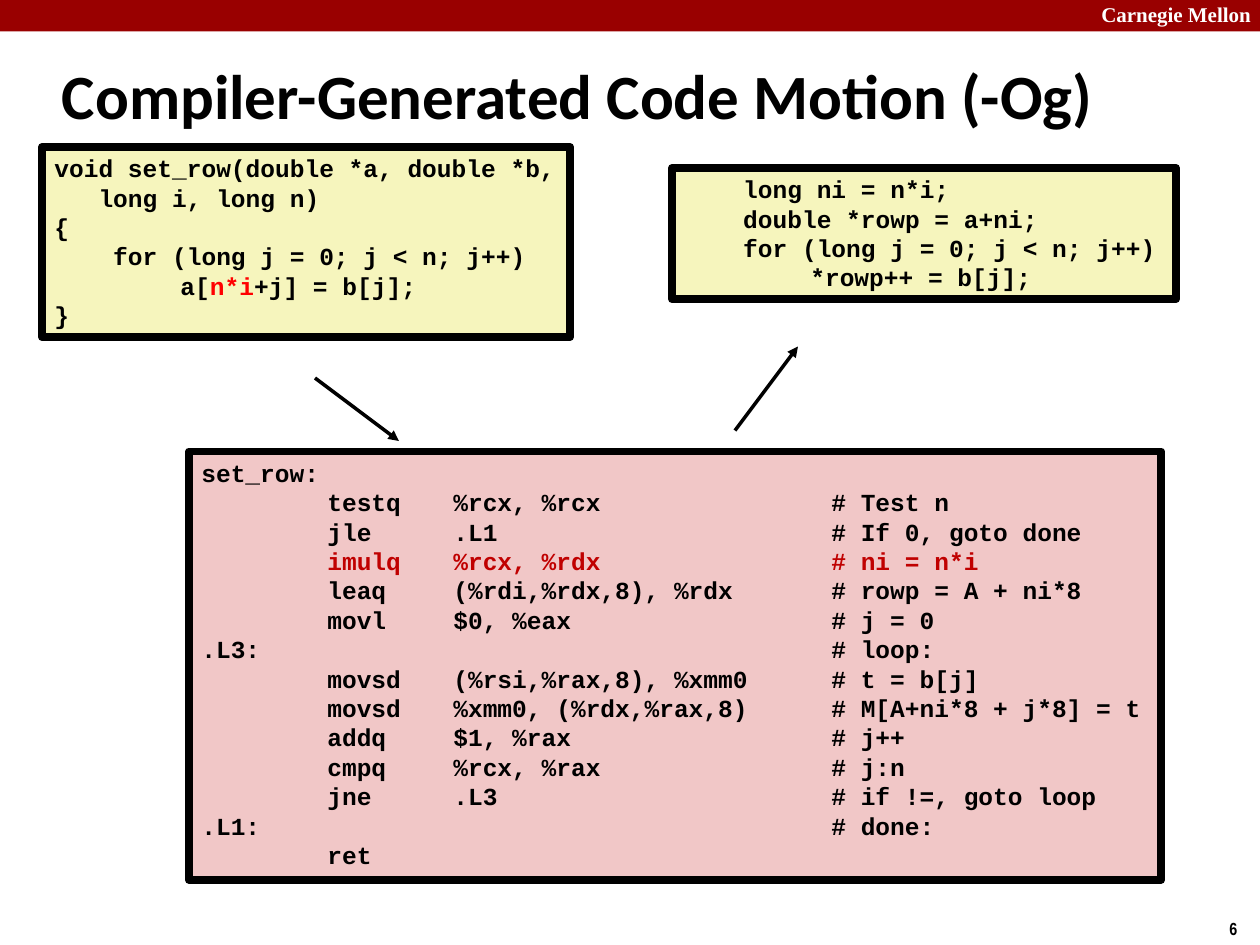
"""Build a slide on compiler-generated code motion."""

from dataclasses import dataclass
from typing import NamedTuple

from lxml.etree import SubElement
from pptx import Presentation
from pptx.dml.color import RGBColor
from pptx.enum.shapes import MSO_CONNECTOR, MSO_SHAPE
from pptx.enum.text import MSO_ANCHOR, MSO_AUTO_SIZE, PP_ALIGN
from pptx.oxml.ns import qn
from pptx.util import Emu, Inches, Pt

BLACK = RGBColor(0x00, 0x00, 0x00)
WHITE = RGBColor(0xFF, 0xFF, 0xFF)
BANNER = RGBColor(0x99, 0x00, 0x00)
YELLOW = RGBColor(0xF6, 0xF5, 0xBD)
PINK = RGBColor(0xF1, 0xC7, 0xC7)
RED = RGBColor(0xFF, 0x00, 0x00)
DARK_RED = RGBColor(0xC0, 0x00, 0x00)

WIDTH, HEIGHT = Inches(10), Inches(7.5)
COLS, ROWS = 120, 90


class Run(NamedTuple):
    text: str
    color: RGBColor = BLACK


class Op(NamedTuple):
    label: str = ""
    name: str = ""
    args: str = ""
    note: str = ""
    color: RGBColor = BLACK


class Arrow(NamedTuple):
    x1: float
    y1: float
    x2: float
    y2: float


@dataclass
class CodeBox:
    area: tuple[float, float, float, float]
    fill: RGBColor
    lines: list[list[Run]]
    tabs: tuple[float, ...] = (1,)
    wrap: bool = False


ASM = [
    Op("set_row:"),
    Op("", "testq", "%rcx, %rcx", "# Test n"),
    Op("", "jle", ".L1", "# If 0, goto done"),
    Op("", "imulq", "%rcx, %rdx", "# ni = n*i", DARK_RED),
    Op("", "leaq", "(%rdi,%rdx,8), %rdx", "# rowp = A + ni*8"),
    Op("", "movl", "$0, %eax", "# j = 0"),
    Op(".L3:", note="# loop:"),
    Op("", "movsd", "(%rsi,%rax,8), %xmm0", "# t = b[j]"),
    Op("", "movsd", "%xmm0, (%rdx,%rax,8)", "# M[A+ni*8 + j*8] = t"),
    Op("", "addq", "$1, %rax", "# j++"),
    Op("", "cmpq", "%rcx, %rax", "# j:n"),
    Op("", "jne", ".L3", "# if !=, goto loop"),
    Op(".L1:", note="# done:"),
    Op("", "ret"),
]

BOXES = [
    CodeBox((18, 43, 92.6, 40.8), PINK,
            [[Run("\t".join(op[:4]).rstrip("\t"), op.color)] for op in ASM],
            tabs=(1, 2, 5)),
    CodeBox((64, 16, 48, 12.5), YELLOW, [
        [Run("    long ni = n*i;")],
        [Run("    double *rowp = a+ni;")],
        [Run("    for (long j = 0; j < n; j++)")],
        [Run("\t*rowp++ = b[j];")],
    ], wrap=True),
    CodeBox((4, 14, 50.3, 18.1), YELLOW, [
        [Run("void set_row(double *a, double *b,")],
        [Run("   long i, long n)")],
        [Run("{")],
        [Run("    for (long j = 0; j < n; j++)")],
        [Run("\ta["), Run("n*i", RED), Run("+j] = b[j];")],
        [Run("}")],
    ]),
]

ARROWS = [Arrow(30, 36, 38, 42), Arrow(70, 41, 76, 33)]


def col(n: float) -> Emu:
    """Return the length of n grid columns."""
    return Emu(round(WIDTH * n / COLS))


def row(n: float) -> Emu:
    """Return the length of n grid rows."""
    return Emu(round(HEIGHT * n / ROWS))


def place(area: tuple[float, float, float, float]) -> tuple[Emu, Emu, Emu, Emu]:
    """Turn grid left, top, width and height into lengths."""
    x, y, w, h = area
    return col(x), row(y), col(w), row(h)


def write(tf, lines: list[list[Run]], *, font: str, size: float,
          anchor=MSO_ANCHOR.TOP, wrap: bool = True,
          tabs: tuple[float, ...] = (), spacing=None) -> None:
    """Fill a text frame with bold, left-aligned lines."""
    tf.word_wrap = wrap
    tf.auto_size = MSO_AUTO_SIZE.NONE
    tf.vertical_anchor = anchor
    for i, line in enumerate(lines):
        p = tf.paragraphs[0] if i == 0 else tf.add_paragraph()
        if tabs:
            stops = SubElement(p._p.get_or_add_pPr(), qn("a:tabLst"))
            for pos in tabs:
                SubElement(stops, qn("a:tab"), pos=str(Inches(pos)), algn="l")
        p.alignment = PP_ALIGN.LEFT
        if spacing is not None:
            p.line_spacing = spacing
        for text, color in line:
            r = p.add_run()
            r.text = text
            r.font.name = font
            r.font.size = Pt(size)
            r.font.bold = True
            r.font.color.rgb = color


def add_rect(slide, area: tuple[float, float, float, float], fill: RGBColor):
    """Add a plain filled rectangle without an outline."""
    sp = slide.shapes.add_shape(MSO_SHAPE.RECTANGLE, *place(area))
    sp.shadow.inherit = False
    sp.fill.solid()
    sp.fill.fore_color.rgb = fill
    sp.line.fill.background()
    return sp


def add_code(slide, box: CodeBox) -> None:
    """Add a thickly framed box of code."""
    sp = add_rect(slide, box.area, box.fill)
    sp.line.color.rgb = BLACK
    sp.line.width = Pt(4.5)
    write(sp.text_frame, box.lines, font="Courier New", size=14,
          wrap=box.wrap, tabs=box.tabs, spacing=Pt(16.8))


def add_arrow(slide, arrow: Arrow) -> None:
    """Add a straight line with a triangle at its end."""
    cx = slide.shapes.add_connector(
        MSO_CONNECTOR.STRAIGHT, col(arrow.x1), row(arrow.y1),
        col(arrow.x2), row(arrow.y2))
    cx.line.color.rgb = BLACK
    cx.line.width = Pt(2)
    SubElement(cx.line._get_or_add_ln(), qn("a:tailEnd"), type="triangle")
    SubElement(cx._element.spPr, qn("a:effectLst"))


def add_label(slide, area: tuple[float, float, float, float], run: Run,
              font: str, size: float) -> None:
    """Add a one-line text box."""
    tb = slide.shapes.add_textbox(*place(area))
    write(tb.text_frame, [[run]], font=font, size=size, wrap=True)


def main() -> None:
    """Build and save the slide."""
    prs = Presentation()
    prs.slide_width, prs.slide_height = WIDTH, HEIGHT
    slide = prs.slides.add_slide(prs.slide_layouts[5])
    title = slide.shapes.title
    title.left, title.top, title.width, title.height = place((4.7, 4, 106, 10))
    write(title.text_frame, [[Run("Compiler-Generated Code Motion (-Og)")]],
          font="Calibri", size=36, anchor=MSO_ANCHOR.MIDDLE)
    add_rect(slide, (0, 0, COLS, 3), BANNER)
    add_label(slide, (103.7, -0.4, 17.2, 3.6), Run("Carnegie Mellon", WHITE),
              "Times New Roman", 12)
    add_label(slide, (115.9, 86.8, 4.1, 3.2), Run("6"), "Arial Narrow", 10)
    for box in BOXES:
        add_code(slide, box)
    for arrow in ARROWS:
        add_arrow(slide, arrow)
    prs.save("out.pptx")


if __name__ == "__main__":
    main()
